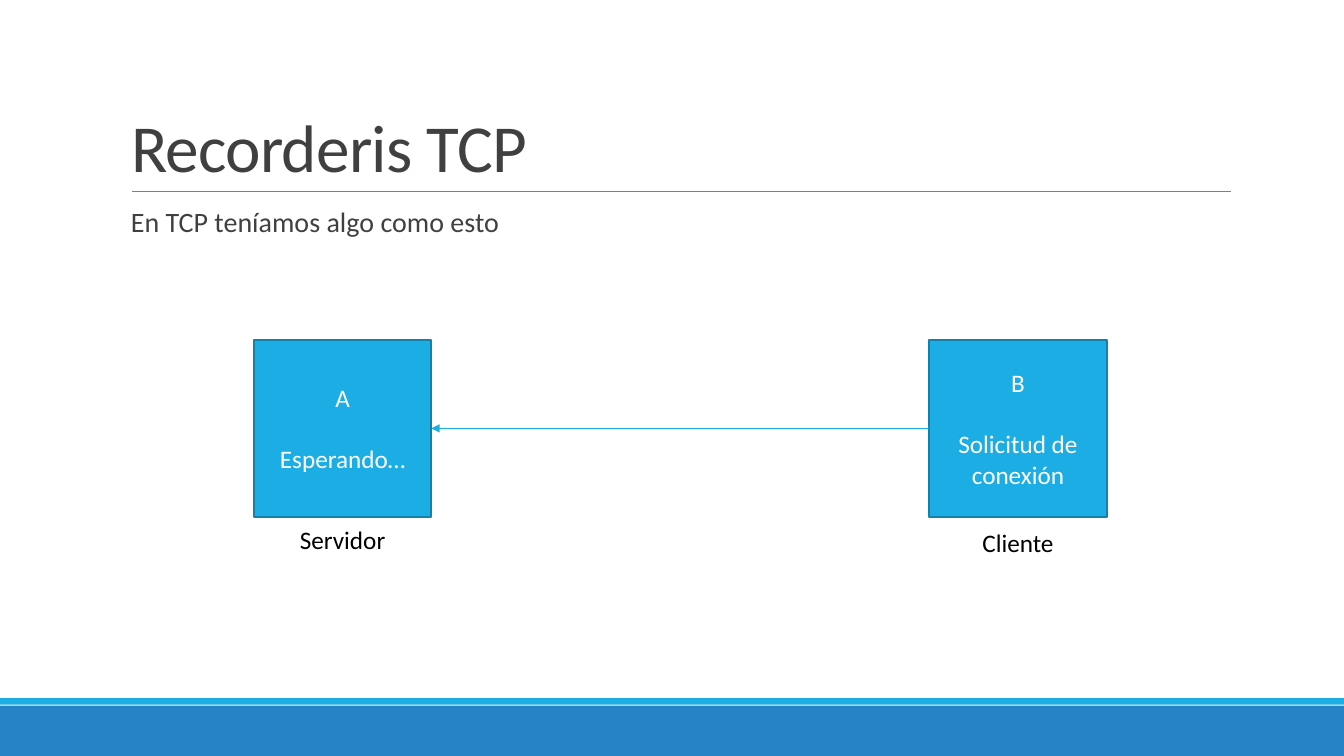
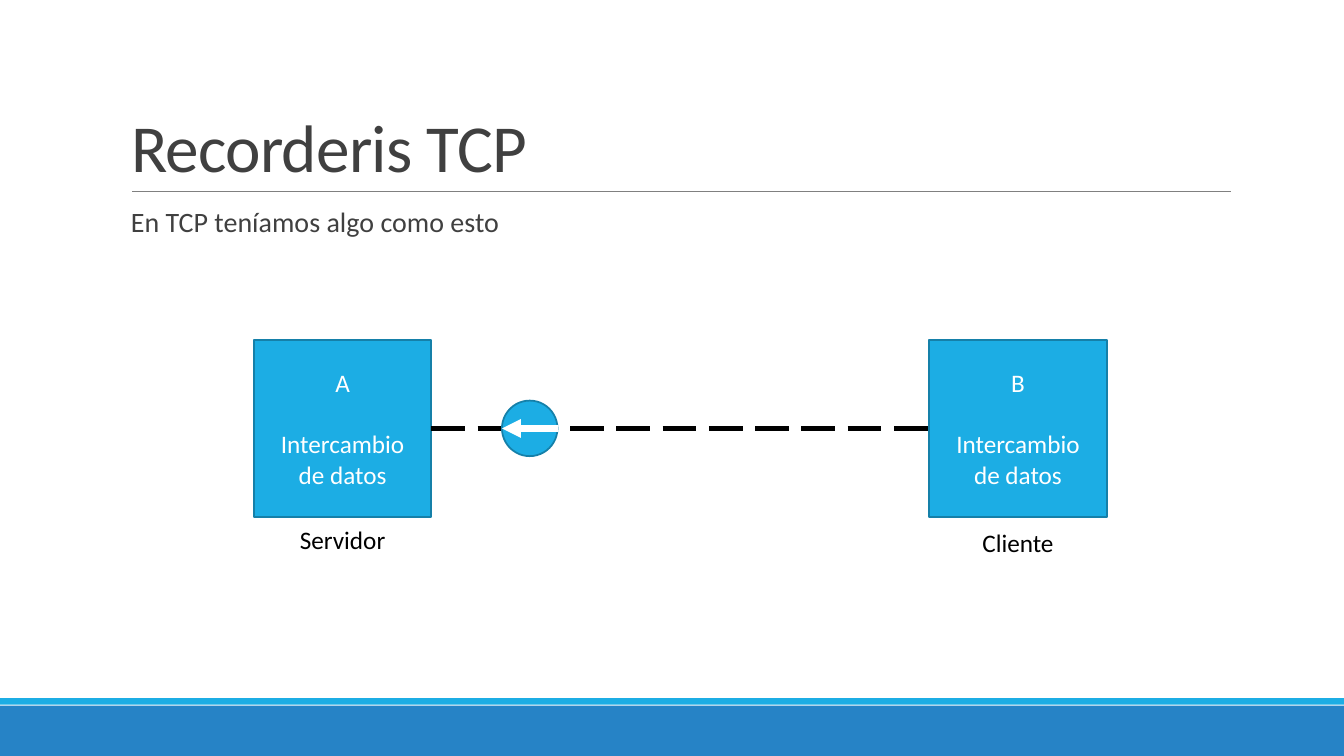
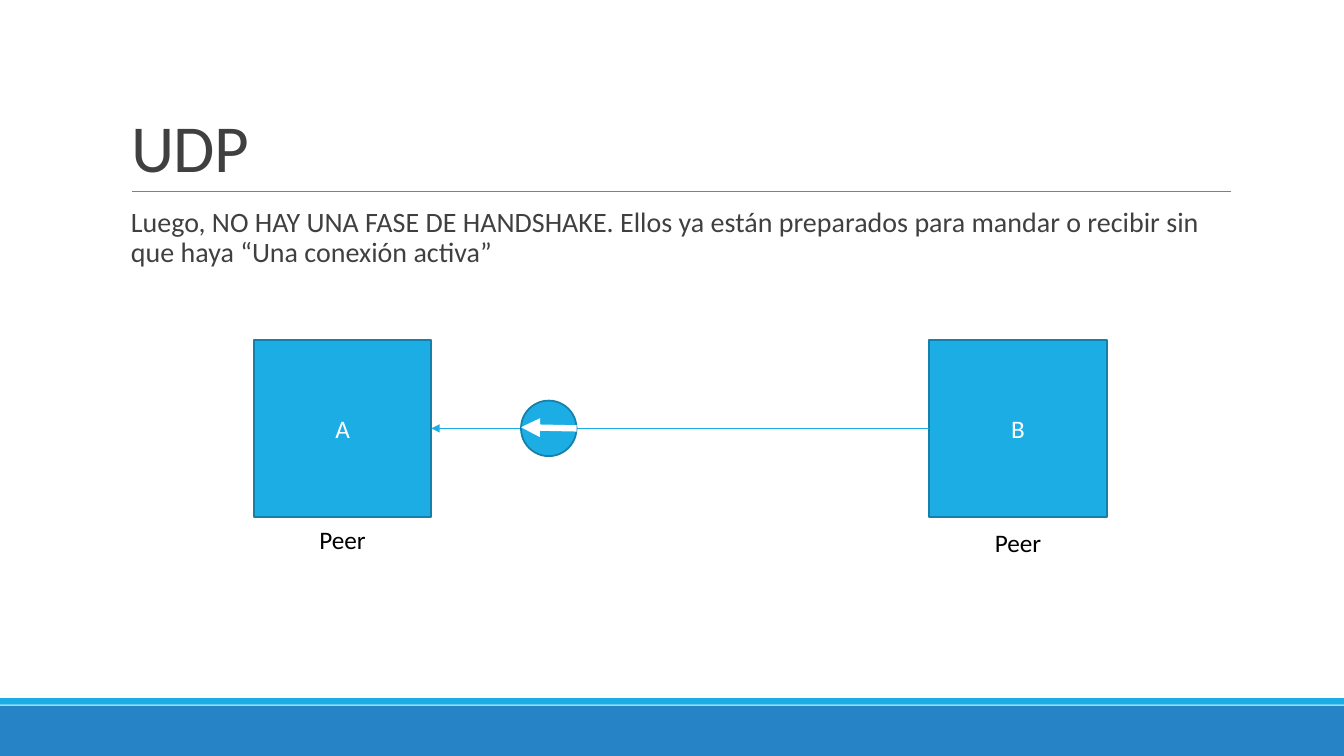
from dataclasses import dataclass
from typing import Optional

from pptx import Presentation
from pptx.dml.color import RGBColor
from pptx.enum import dml, shapes, text
from pptx.oxml import ns
from pptx.util import Cm, Pt
from lxml import etree

FONT = "Calibri"
BLUE, SKY, EDGE = "2683C6", "1CADE4", "1580A9"
WHITE, BLACK, INK, GREY = "FFFFFF", "000000", "404040", "808080"

SLIDE_WIDTH, SLIDE_HEIGHT = 33.87, 19.05
TEXT_LEFT, TEXT_WIDTH = 3.05, 27.94
RULE_TOP = 4.83
BOX_SIZE, BOX_TOP = 4.47, 8.56
BOX_LEFTS = (6.4, 23.42)
LABEL_WIDTH, LABEL_HEIGHT = 4.22, 1.02
LABEL_TOPS = (13.08, 13.16)
LINK_Y = BOX_TOP + BOX_SIZE / 2
LINK_START, LINK_END = BOX_LEFTS[0] + BOX_SIZE, BOX_LEFTS[1]
PACKET_SIZE = 1.4


@dataclass
class Node:
    """A computer: its letter, the lines below it, and its role."""
    letter: str
    role: str
    status: tuple[str, ...] = ()


@dataclass
class Packet:
    """A datagram on the link; its arrow may rise a little to the left."""
    left: float
    rise: float = 0


@dataclass
class Scene:
    """The content of one slide."""
    title: str
    lead: str
    nodes: tuple[Node, Node]
    connected: bool = False
    packet: Optional[Packet] = None


TCP_LEAD = "En TCP teníamos algo como esto"
EXCHANGE = ("Intercambio", "de datos")
SCENES = (
    Scene("Recorderis TCP", TCP_LEAD,
          (Node("A", "Servidor", ("Esperando…",)),
           Node("B", "Cliente", ("Solicitud de conexión",)))),
    Scene("Recorderis TCP", TCP_LEAD,
          (Node("A", "Servidor", EXCHANGE), Node("B", "Cliente", EXCHANGE)),
          connected=True, packet=Packet(12.65)),
    Scene("UDP",
          "Luego, NO HAY UNA FASE DE HANDSHAKE. Ellos ya están preparados para "
          "mandar o recibir sin que haya “Una conexión activa”",
          (Node("A", "Peer"), Node("B", "Peer")),
          packet=Packet(13.13, rise=0.03)),
)


def rgb(code: str) -> RGBColor:
    """Turn a hex string into a colour."""
    return RGBColor.from_string(code)


def style_para(para, size: float, color: str, align=text.PP_ALIGN.LEFT) -> None:
    """Set the font and alignment of a whole paragraph."""
    para.font.name, para.font.size = FONT, Pt(size)
    para.font.color.rgb = rgb(color)
    para.alignment = align


def add_figure(page, kind, left: float, top: float, width: float, height: float,
               fill: str, edge: Optional[str] = None):
    """Add a flat preset shape, with an outline if an edge colour is given."""
    figure = page.shapes.add_shape(kind, Cm(left), Cm(top), Cm(width), Cm(height))
    figure.shadow.inherit = False
    figure.fill.solid()
    figure.fill.fore_color.rgb = rgb(fill)
    if edge:
        figure.line.color.rgb = rgb(edge)
        figure.line.width = Pt(1.25)
    else:
        figure.line.fill.background()
    return figure


def add_line(page, start: tuple[float, float], end: tuple[float, float], color: str,
             width: float, arrow: bool = False, dashed: bool = False):
    """Add a straight connector, optionally dashed or with an arrowhead at its end."""
    line = page.shapes.add_connector(shapes.MSO_CONNECTOR.STRAIGHT,
                                     *map(Cm, (*start, *end)))
    line.line.color.rgb = rgb(color)
    line.line.width = Pt(width)
    if dashed:
        line.line.dash_style = dml.MSO_LINE.LONG_DASH
    if arrow:
        etree.SubElement(line.line._get_or_add_ln(), ns.qn("a:tailEnd"), type="triangle")
    etree.SubElement(line.element.spPr, ns.qn("a:effectLst"))
    return line


def add_text(page, left: float, top: float, width: float, height: float, words: str):
    """Add a wrapping text box and return its frame."""
    frame = page.shapes.add_textbox(Cm(left), Cm(top), Cm(width), Cm(height)).text_frame
    frame.word_wrap = True
    frame.text = words
    return frame


def dress_layout(layout, page) -> None:
    """Move the bands and the title rule, drawn on a page, to its layout."""
    for holder in list(layout.placeholders):
        if holder.placeholder_format.type != shapes.PP_PLACEHOLDER.TITLE:
            holder.element.getparent().remove(holder.element)
    rectangle = shapes.MSO_SHAPE.RECTANGLE
    parts = (
        add_figure(page, rectangle, 0, 17.78, SLIDE_WIDTH, 1.27, BLUE),
        add_figure(page, rectangle, 0, 17.59, SLIDE_WIDTH, 0.17, SKY),
        add_line(page, (3.33, RULE_TOP), (31.01, RULE_TOP), GREY, 0.5),
    )
    for part in parts:
        layout.shapes.element.append(part.element)


def add_heading(page, title: str, lead: str) -> None:
    """Fill the title placeholder and add the lead text below the rule."""
    holder = page.shapes.title
    holder.left, holder.top = Cm(TEXT_LEFT), Cm(0.79)
    holder.width, holder.height = Cm(TEXT_WIDTH), Cm(RULE_TOP - 0.79)
    frame = holder.text_frame
    frame.text = title
    frame.vertical_anchor = text.MSO_ANCHOR.BOTTOM
    frame.auto_size = text.MSO_AUTO_SIZE.NONE
    para = frame.paragraphs[0]
    style_para(para, 48, INK)
    para.line_spacing = 0.85
    para.runs[0]._r.get_or_add_rPr().set("spc", "-50")

    frame = add_text(page, TEXT_LEFT, 5.13, TEXT_WIDTH, 1.78, lead)
    frame.margin_left, frame.margin_right = Cm(0.25), 0
    para = frame.paragraphs[0]
    style_para(para, 20, INK)
    para.line_spacing = 0.9
    para.space_before, para.space_after = Pt(12), Pt(2)


def add_node(page, node: Node, left: float, label_top: float) -> None:
    """Add a square with its lines and the role below it."""
    box = add_figure(page, shapes.MSO_SHAPE.RECTANGLE, left, BOX_TOP,
                     BOX_SIZE, BOX_SIZE, SKY, EDGE)
    frame = box.text_frame
    frame.vertical_anchor = text.MSO_ANCHOR.MIDDLE
    frame.text = "\n".join((node.letter, *node.status))
    for para in frame.paragraphs:
        style_para(para, 18, WHITE, text.PP_ALIGN.CENTER)
    if node.status:
        frame.paragraphs[0].space_after = Pt(22)

    label_left = left + (BOX_SIZE - LABEL_WIDTH) / 2
    label = add_text(page, label_left, label_top, LABEL_WIDTH, LABEL_HEIGHT, node.role)
    label.auto_size = text.MSO_AUTO_SIZE.SHAPE_TO_FIT_TEXT
    style_para(label.paragraphs[0], 18, BLACK, text.PP_ALIGN.CENTER)


def add_link(page, connected: bool) -> None:
    """Join the squares: dashes for an open connection, else an arrow to A."""
    start, end = (LINK_START, LINK_Y), (LINK_END, LINK_Y)
    if connected:
        add_line(page, start, end, BLACK, 3, dashed=True)
    else:
        add_line(page, end, start, SKY, 1, arrow=True)


def add_packet(page, packet: Packet) -> None:
    """Add a disc on the link with a white arrow pointing left."""
    add_figure(page, shapes.MSO_SHAPE.OVAL, packet.left, LINK_Y - PACKET_SIZE / 2,
               PACKET_SIZE, PACKET_SIZE, SKY, EDGE)
    add_line(page, (packet.left + PACKET_SIZE, LINK_Y),
             (packet.left, LINK_Y - packet.rise), WHITE, 4.5, arrow=True)


def build() -> None:
    """Build the deck and save it."""
    deck = Presentation()
    deck.slide_width, deck.slide_height = Cm(SLIDE_WIDTH), Cm(SLIDE_HEIGHT)
    layout = deck.slide_layouts.get_by_name("Title Only")
    pages = [deck.slides.add_slide(layout) for _ in SCENES]
    dress_layout(layout, pages[0])
    for page, scene in zip(pages, SCENES):
        add_heading(page, scene.title, scene.lead)
        for node, left, label_top in zip(scene.nodes, BOX_LEFTS, LABEL_TOPS):
            add_node(page, node, left, label_top)
        add_link(page, scene.connected)
        if scene.packet:
            add_packet(page, scene.packet)
    deck.save("out.pptx")


build()
